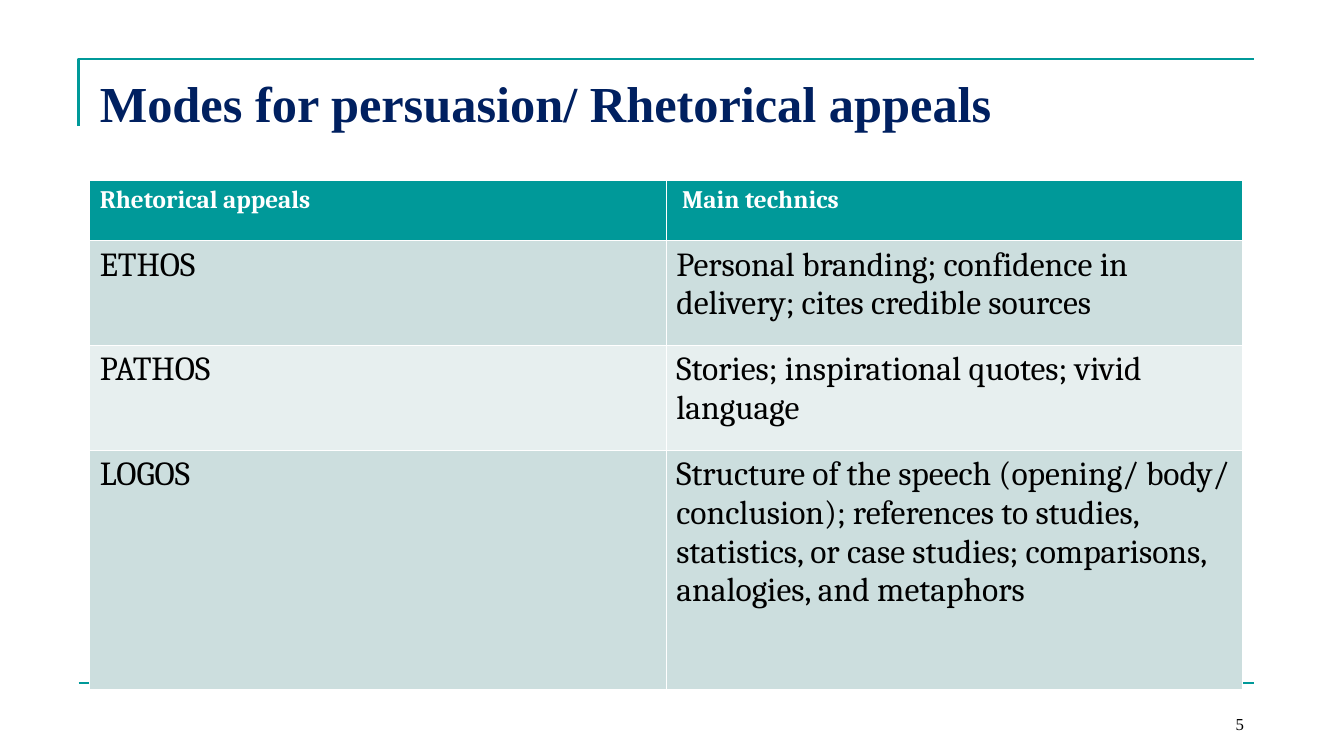
from lxml.etree import SubElement
from pptx import Presentation
from pptx.dml.color import RGBColor
from pptx.enum.shapes import MSO_CONNECTOR as Link
from pptx.enum.text import MSO_ANCHOR as Anchor, PP_ALIGN as Align
from pptx.oxml.ns import qn
from pptx.util import Cm, Pt

TEAL = RGBColor(0x00, 0x99, 0x99)
NAVY = RGBColor(0x00, 0x20, 0x60)
BLACK = RGBColor(0x00, 0x00, 0x00)
WHITE = RGBColor(0xFF, 0xFF, 0xFF)
MIST = RGBColor(0xCC, 0xDE, 0xDE)
PALE = RGBColor(0xE7, 0xEF, 0xEF)

TITLE = {"name": "Times New Roman", "size": Pt(36), "bold": True, "color": NAVY}
NUMBER = {"name": "Times New Roman", "size": Pt(12), "bold": False, "color": BLACK}
HEAD = {"name": "Cambria", "size": Pt(18), "bold": True, "color": WHITE}
BODY = {"name": "Cambria", "size": Pt(24), "bold": False, "color": BLACK}

LEFT, RIGHT = Cm(1.98), Cm(31.6)
ROWS = [
    ("Rhetorical appeals", "Main technics"),
    ("ETHOS", "Personal branding; confidence in delivery; cites credible sources"),
    ("PATHOS", "Stories; inspirational quotes; vivid language"),
    ("LOGOS", "Structure of the speech (opening/ body/ conclusion); references to "
              "studies, statistics, or case studies; comparisons, analogies, and metaphors"),
]
TALL = [1.52, 2.64, 2.64, 6.02]


def write(frame, text, style, align=Align.LEFT):
    """Put styled text into the first paragraph of a frame."""
    para = frame.paragraphs[0]
    para.alignment = align
    run = para.add_run()
    run.text = text
    for key, value in style.items():
        if key == "color":
            run.font.color.rgb = value
        else:
            setattr(run.font, key, value)


def stroke(shape):
    """Give a shape the thin teal line."""
    shape.line.color.rgb = TEAL
    shape.line.width = Pt(1.5)


def add_frame(slide):
    """Draw the corner above the title and the rule at the foot."""
    top = Cm(1.48)
    pen = slide.shapes.build_freeform(LEFT, Cm(3.18))
    pen.add_line_segments([(LEFT, top), (RIGHT, top)], close=False)
    corner = pen.convert_to_shape()
    corner.fill.background()
    corner.shadow.inherit = False
    stroke(corner)
    foot = Cm(17.2)
    rule = slide.shapes.add_connector(Link.STRAIGHT, LEFT, foot, RIGHT, foot)
    stroke(rule)
    SubElement(rule._element.spPr, qn("a:effectLst"))


def add_title(slide, text):
    """Place and fill the title."""
    title = slide.shapes.title
    place = {"left": Cm(2.26), "top": Cm(1.7), "width": Cm(29.06), "height": Cm(2.46)}
    for key, value in place.items():
        setattr(title, key, value)
    title.text_frame.vertical_anchor = Anchor.TOP
    write(title.text_frame, text, TITLE)


def add_grid(slide):
    """Build the table of appeals."""
    size = len(ROWS), len(ROWS[0])
    box = Cm(2.26), Cm(4.55), Cm(29.06), Cm(sum(TALL))
    table = slide.shapes.add_table(*size, *box).table
    for i, (texts, tall) in enumerate(zip(ROWS, TALL)):
        table.rows[i].height = Cm(tall)
        for j, text in enumerate(texts):
            cell = table.cell(i, j)
            cell.fill.solid()
            cell.fill.fore_color.rgb = (MIST if i % 2 else PALE) if i else TEAL
            write(cell.text_frame, text, BODY if i else HEAD)
    table.cell(0, 1).margin_left = Cm(0.4)


def add_number(slide, text):
    """Add the slide number at the lower right."""
    box = slide.shapes.add_textbox(Cm(23.7), Cm(17.35), Cm(7.9), Cm(1.27))
    box.text_frame.word_wrap = True
    box.text_frame.vertical_anchor = Anchor.BOTTOM
    write(box.text_frame, text, NUMBER, Align.RIGHT)


def main():
    """Build and save the slide."""
    deck = Presentation()
    deck.slide_width, deck.slide_height = Cm(33.87), Cm(19.05)
    slide = deck.slides.add_slide(deck.slide_layouts[5])
    add_frame(slide)
    add_title(slide, "Modes for persuasion/ Rhetorical appeals")
    add_number(slide, "5")
    add_grid(slide)
    deck.save("out.pptx")


if __name__ == "__main__":
    main()
